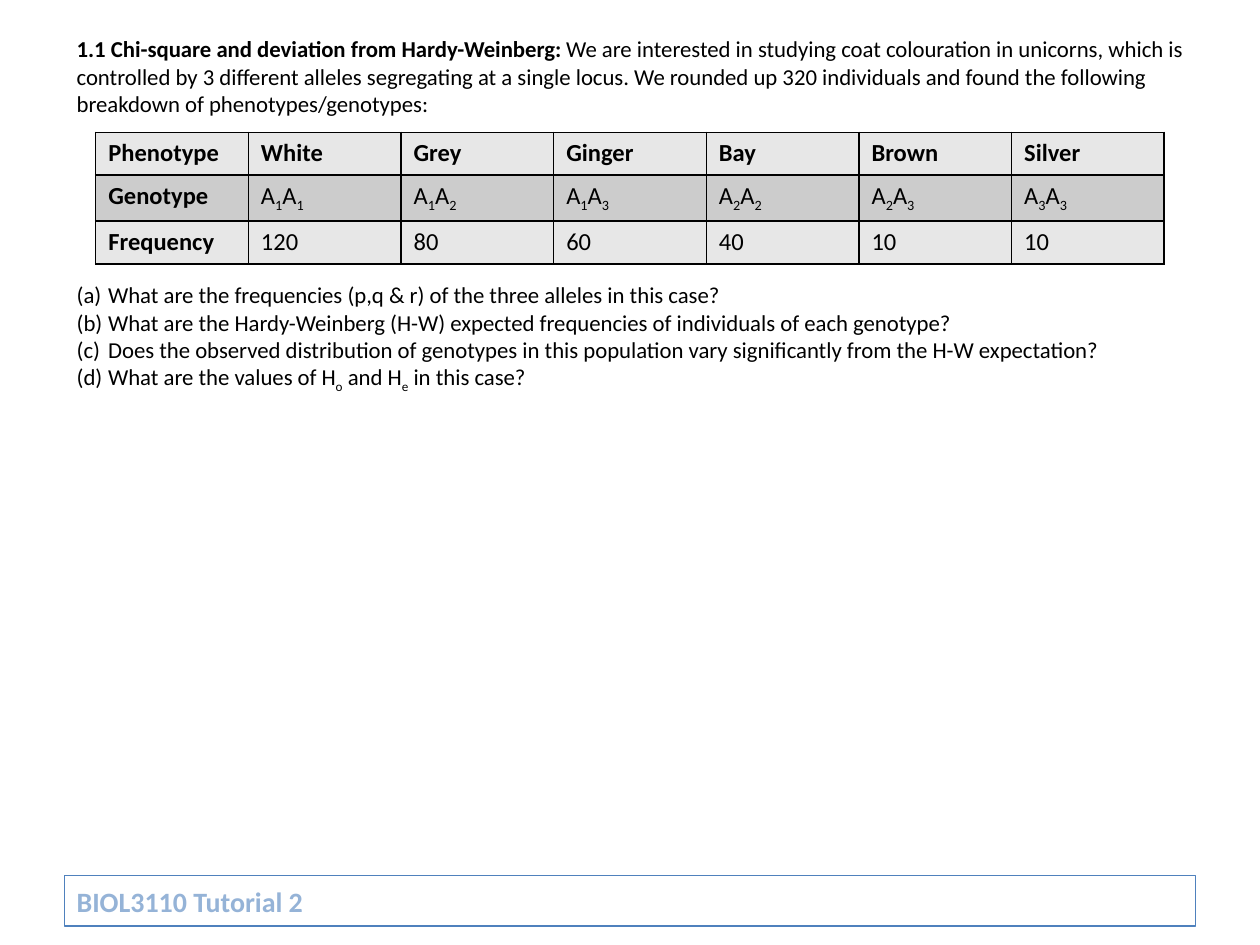
from dataclasses import dataclass

from lxml import etree
from pptx import Presentation
from pptx.dml.color import RGBColor
from pptx.enum.shapes import MSO_SHAPE
from pptx.enum.text import MSO_ANCHOR, MSO_AUTO_SIZE, PP_ALIGN
from pptx.oxml.ns import qn
from pptx.util import Inches, Pt

RECT = MSO_SHAPE.RECTANGLE
MIDDLE = MSO_ANCHOR.MIDDLE
GROW = MSO_AUTO_SIZE.SHAPE_TO_FIT_TEXT
LEFT = PP_ALIGN.LEFT

BLACK = RGBColor(0x00, 0x00, 0x00)
WHITE = RGBColor(0xFF, 0xFF, 0xFF)
BLUE = RGBColor(0x4F, 0x81, 0xBD)
PALE = RGBColor(0x95, 0xB3, 0xD7)
LIGHT = RGBColor(0xE7, 0xE7, 0xE7)
GREY = RGBColor(0xCC, 0xCC, 0xCC)

WIDE, HIGH = Inches(10), Inches(7.5)
COLS, ROWS = 100, 75
FONT = "Calibri"
INDENT = Inches(0.25)
GAP = Pt(93.6)


@dataclass(frozen=True)
class Box:
    col: float
    row: float
    cols: float
    rows: float

    def place(self) -> tuple[int, int, int, int]:
        unit, line = WIDE / COLS, HIGH / ROWS
        return (int(self.col * unit), int(self.row * line),
                int(self.cols * unit), int(self.rows * line))


@dataclass(frozen=True)
class Coat:
    name: str
    gene: str
    count: str


BODY = Box(5.1, 2.3, 89.8, 31.8)
GRID = Box(7.6, 10.5, 84.8, 10.2)
FOOT = Box(5.1, 69.5, 89.8, 4)

TITLE = "1.1 Chi-square and deviation from Hardy-Weinberg:"
INTRO = (
    " We are interested in studying coat colouration in unicorns, which is "
    "controlled by 3 different alleles segregating at a single locus. "
    "We rounded up 320 individuals and found the following "
    "breakdown of phenotypes/genotypes:"
)
TASKS = [
    "What are the frequencies (p,q & r) of the three alleles in this case?",
    "What are the Hardy-Weinberg (H-W) expected frequencies of individuals "
    "of each genotype?",
    "Does the observed distribution of genotypes in this population vary "
    "significantly from the H-W expectation?",
    "What are the values of H_o and H_e in this case?",
]
COATS = [
    Coat("Phenotype", "Genotype", "Frequency"),
    Coat("White", "A_1A_1", "120"),
    Coat("Grey", "A_1A_2", "80"),
    Coat("Ginger", "A_1A_3", "60"),
    Coat("Bay", "A_2A_2", "40"),
    Coat("Brown", "A_2A_3", "10"),
    Coat("Silver", "A_3A_3", "10"),
]


def write(para, text: str, size: float = 13, bold: bool = False,
          color: RGBColor = BLACK) -> None:
    head, *rest = text.split("_")
    parts = [(head, False)]
    for part in rest:
        parts += [(part[0], True), (part[1:], False)]
    for words, low in parts:
        if not words:
            continue
        run = para.add_run()
        run.text = words
        run.font.name = FONT
        run.font.size = Pt(size)
        run.font.bold = bold
        run.font.color.rgb = color
        if low:
            run.font._element.set("baseline", "-25000")


def number(para) -> None:
    props = para._p.get_or_add_pPr()
    props.set("marL", str(INDENT))
    props.set("indent", str(-INDENT))
    mark = etree.SubElement(props, qn("a:buAutoNum"))
    mark.set("type", "alphaLcParenBoth")


def edge(cell) -> None:
    props = cell._tc.get_or_add_tcPr()
    for spot, side in enumerate("LRTB"):
        line = etree.Element(qn(f"a:ln{side}"), w=str(Pt(1)))
        fill = etree.SubElement(line, qn("a:solidFill"))
        etree.SubElement(fill, qn("a:srgbClr"), val=str(BLACK))
        props.insert(spot, line)


def draw_foot(slide, box: Box) -> None:
    shape = slide.shapes.add_shape(RECT, *box.place())
    shape.shadow.inherit = False
    shape.fill.solid()
    shape.fill.fore_color.rgb = WHITE
    shape.line.color.rgb = BLUE
    shape.line.width = Pt(0.75)
    frame = shape.text_frame
    frame.vertical_anchor = MIDDLE
    para = frame.paragraphs[0]
    para.alignment = LEFT
    write(para, "BIOL3110 Tutorial 2", size=16, bold=True, color=PALE)


def draw_body(slide, box: Box) -> None:
    frame = slide.shapes.add_textbox(*box.place()).text_frame
    frame.word_wrap = True
    frame.auto_size = GROW
    para = frame.paragraphs[0]
    write(para, TITLE, bold=True)
    write(para, INTRO)
    for index, task in enumerate(TASKS):
        para = frame.add_paragraph()
        number(para)
        if index == 0:
            para.space_before = GAP
        write(para, task)


def draw_grid(slide, box: Box) -> None:
    lines = list(zip(*((coat.name, coat.gene, coat.count) for coat in COATS)))
    table = slide.shapes.add_table(len(lines), len(COATS), *box.place()).table
    for row, line in enumerate(lines):
        for col, text in enumerate(line):
            cell = table.cell(row, col)
            cell.fill.solid()
            cell.fill.fore_color.rgb = GREY if row % 2 else LIGHT
            edge(cell)
            para = cell.text_frame.paragraphs[0]
            write(para, text, size=14, bold=row == 0 or col == 0)


def main() -> None:
    deck = Presentation()
    deck.slide_width, deck.slide_height = WIDE, HIGH
    slide = deck.slides.add_slide(deck.slide_layouts[6])
    draw_foot(slide, FOOT)
    draw_body(slide, BODY)
    draw_grid(slide, GRID)
    deck.save("out.pptx")


if __name__ == "__main__":
    main()
